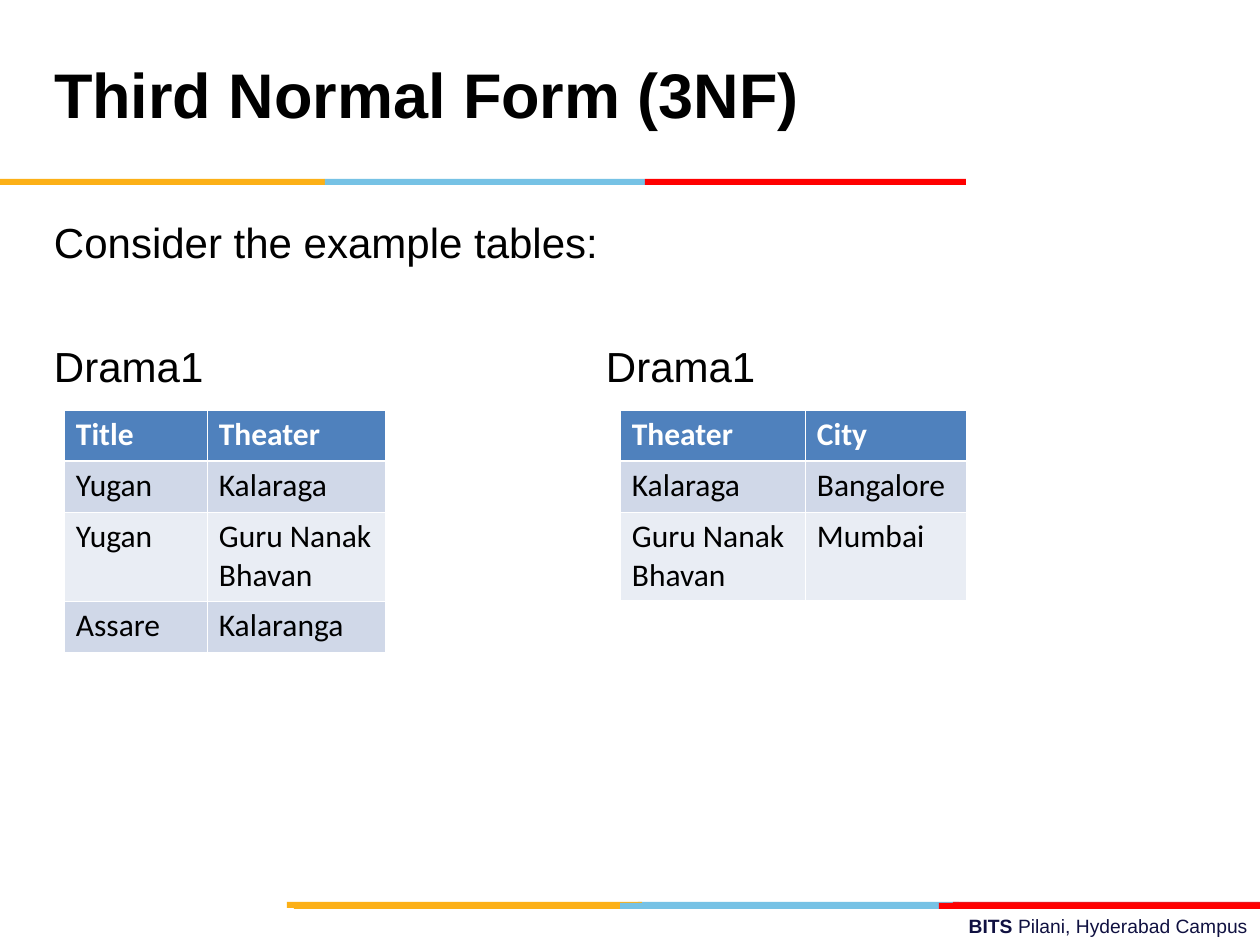
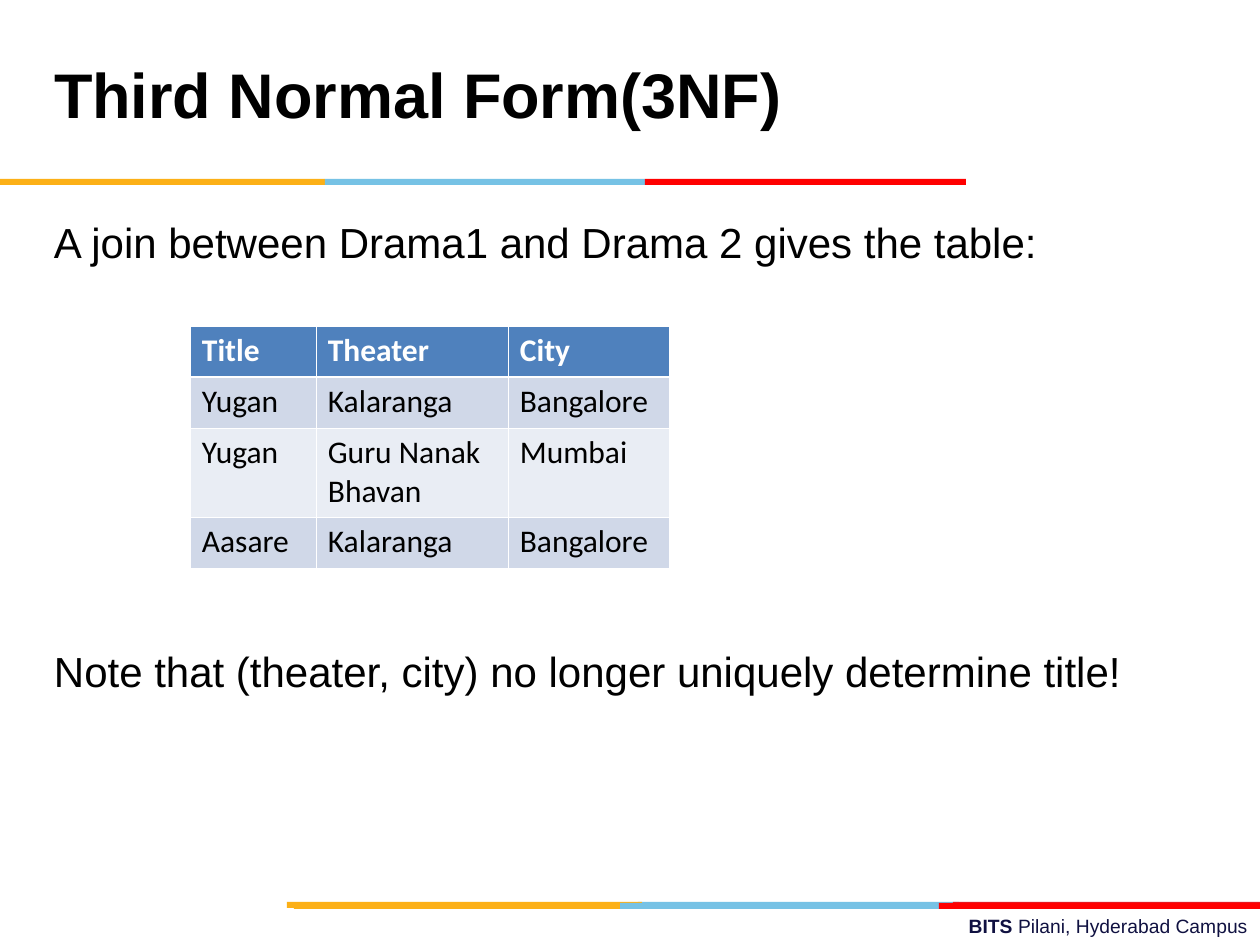
import pptx
import pptx.dml.color
import pptx.enum.shapes
import pptx.enum.text
import pptx.oxml
import pptx.oxml.ns
import pptx.util
import lxml.etree

PX = 914400 // 126
BLACK, WHITE, NAVY = "000000", "FFFFFF", "101141"
GOLD, SKY, RED, CRIMSON = "FCB017", "76C2E5", "FF0000", "E31C24"
HEADER, ROW_DARK, ROW_LIGHT = "4F81BD", "D0D8E8", "E9EDF4"
THIN, THICK = 0.45, 1.47
INSET_X, INSET_Y = 12, 6
TITLE_BOX = (42, 21, 872, 158)
BODY_BOX = (42, 205, 1134, 624)
FOOTER_BOX = (451, 908, 809, 37)
TITLE_BANDS = [(0, 325, GOLD), (325, 320, SKY), (645, 321, RED)]
FOOTER_BACK_BANDS = [(638, 321, SKY), (953, 307, CRIMSON), (287, 355, GOLD)]
FOOTER_BANDS = [(620, 321, SKY), (294, 326, GOLD), (939, 321, RED)]
ALIGN = pptx.enum.text.PP_ALIGN
ANCHOR = pptx.enum.text.MSO_ANCHOR


def emu(*lengths):
    return [pptx.util.Emu(n * PX) for n in lengths]


def rgb(color):
    return pptx.dml.color.RGBColor.from_string(color)


def add_text(p, text, size=24, font="Arial", color=BLACK, bold=False):
    r = p.add_run()
    r.text = text
    r.font.size = pptx.util.Pt(size)
    r.font.name = font
    r.font.color.rgb = rgb(color)
    r.font.bold = bold


def set_frame(tf, top=INSET_Y, anchor=ANCHOR.TOP):
    tf.word_wrap = True
    tf.auto_size = pptx.enum.text.MSO_AUTO_SIZE.NONE
    tf.vertical_anchor = anchor
    tf.margin_left, tf.margin_top, tf.margin_right, tf.margin_bottom = emu(
        INSET_X, top, INSET_X, INSET_Y)


def add_tab_stop(p, position):
    tabs = lxml.etree.SubElement(p._p.get_or_add_pPr(), pptx.oxml.ns.qn("a:tabLst"))
    lxml.etree.SubElement(tabs, pptx.oxml.ns.qn("a:tab"), pos=str(position * PX), algn="l")


def add_title(slide, text):
    sp = slide.shapes.title
    sp.left, sp.top, sp.width, sp.height = emu(*TITLE_BOX)
    set_frame(sp.text_frame, anchor=ANCHOR.MIDDLE)
    p = sp.text_frame.paragraphs[0]
    p.alignment = ALIGN.LEFT
    p.line_spacing = pptx.util.Pt(36)
    add_text(p, text, size=36, bold=True)


def add_bands(slide, top, bands):
    for left, width, color in bands:
        sp = slide.shapes.add_shape(
            pptx.enum.shapes.MSO_SHAPE.RECTANGLE, *emu(left, top, width, 6))
        sp.shadow.inherit = False
        sp.fill.solid()
        sp.fill.fore_color.rgb = rgb(color)
        sp.line.fill.background()


def add_footer(slide):
    tf = slide.shapes.add_textbox(*emu(*FOOTER_BOX)).text_frame
    set_frame(tf)
    p = tf.paragraphs[0]
    p.alignment = ALIGN.RIGHT
    add_text(p, "BITS ", size=11, color=NAVY, bold=True)
    add_text(p, "Pilani, Hyderabad Campus", size=11, color=NAVY)


def add_body(slide, lines, gap, tab=None):
    tf = slide.shapes.add_textbox(*emu(*BODY_BOX)).text_frame
    set_frame(tf, top=12)
    for i, line in enumerate(lines):
        p = tf.add_paragraph() if i else tf.paragraphs[0]
        if tab:
            add_tab_stop(p, tab)
        if i:
            p.space_before = pptx.util.Pt(gap)
        add_text(p, line)


def set_borders(cell, top, bottom):
    tcPr = cell._tc.get_or_add_tcPr()
    sides = [("lnL", THIN), ("lnR", THIN), ("lnT", top), ("lnB", bottom)]
    for i, (side, width) in enumerate(sides):
        tcPr.insert(i, pptx.oxml.parse_xml(
            f'<a:{side} {pptx.oxml.ns.nsdecls("a")} w="{pptx.util.Pt(width)}">'
            f'<a:solidFill><a:srgbClr val="{WHITE}"/></a:solidFill></a:{side}>'))


def add_table(slide, left, top, widths, heights, rows):
    table = slide.shapes.add_table(
        len(rows), len(widths), *emu(left, top, sum(widths), sum(heights))).table
    table.first_row = table.horz_banding = False
    for column, width in zip(table.columns, emu(*widths)):
        column.width = width
    for row, height in zip(table.rows, emu(*heights)):
        row.height = height
    for i, row in enumerate(rows):
        fill = HEADER if i == 0 else ROW_DARK if i % 2 else ROW_LIGHT
        for j, text in enumerate(row):
            cell = table.cell(i, j)
            cell.fill.solid()
            cell.fill.fore_color.rgb = rgb(fill)
            cell.margin_left, cell.margin_right = emu(INSET_X, INSET_X)
            cell.margin_top, cell.margin_bottom = emu(INSET_Y, INSET_Y)
            set_borders(cell, THICK if i == 1 else THIN, THICK if i == 0 else THIN)
            for k, line in enumerate(text.split("\n")):
                tf = cell.text_frame
                p = tf.add_paragraph() if k else tf.paragraphs[0]
                add_text(p, line, size=18, font="Calibri",
                         color=BLACK if i else WHITE, bold=i == 0)


def add_slide(prs, title):
    slide = prs.slides.add_slide(prs.slide_layouts[5])
    add_footer(slide)
    add_bands(slide, 902, FOOTER_BACK_BANDS)
    add_bands(slide, 903, FOOTER_BANDS)
    add_bands(slide, 179, TITLE_BANDS)
    add_title(slide, title)
    return slide


def build_example_tables(prs):
    slide = add_slide(prs, "Third Normal Form (3NF)")
    add_body(slide, ["Consider the example tables:", "Drama1\tDrama1"], gap=41.5, tab=552)
    add_table(slide, 64, 410, [143, 178], [51, 51, 89, 51], [
        ["Title", "Theater"],
        ["Yugan", "Kalaraga"],
        ["Yugan", "Guru Nanak\nBhavan"],
        ["Assare", "Kalaranga"],
    ])
    add_table(slide, 620, 410, [185, 161], [51, 51, 88], [
        ["Theater", "City"],
        ["Kalaraga", "Bangalore"],
        ["Guru Nanak\nBhavan", "Mumbai"],
    ])


def build_join_table(prs):
    slide = add_slide(prs, "Third Normal Form(3NF)")
    add_body(slide, [
        "A join between Drama1 and Drama 2 gives the table:",
        "Note that (theater, city) no longer uniquely determine title!",
    ], gap=216)
    add_table(slide, 190, 326, [126, 192, 161], [51, 51, 89, 51], [
        ["Title", "Theater", "City"],
        ["Yugan", "Kalaranga", "Bangalore"],
        ["Yugan", "Guru Nanak\nBhavan", "Mumbai"],
        ["Aasare", "Kalaranga", "Bangalore"],
    ])


def main():
    prs = pptx.Presentation()
    prs.slide_width, prs.slide_height = emu(1260, 945)
    build_example_tables(prs)
    build_join_table(prs)
    prs.save("out.pptx")


if __name__ == "__main__":
    main()
